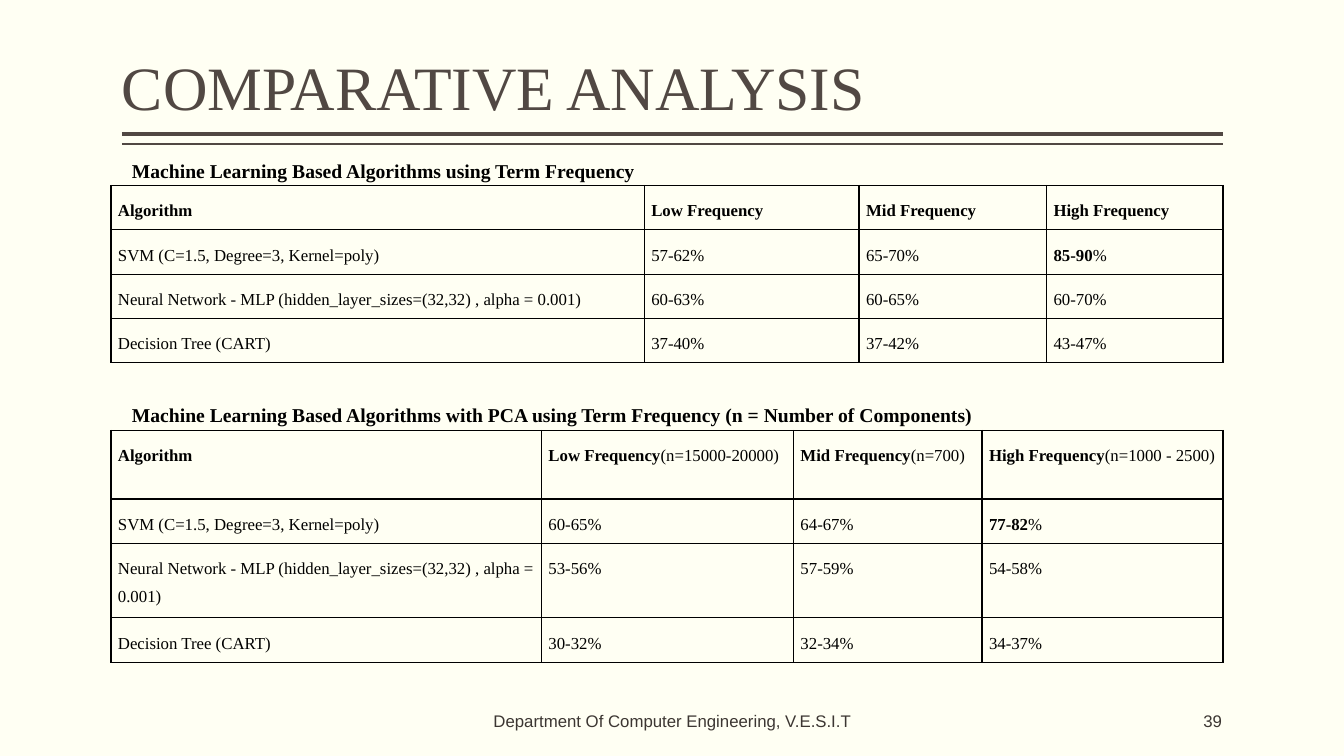
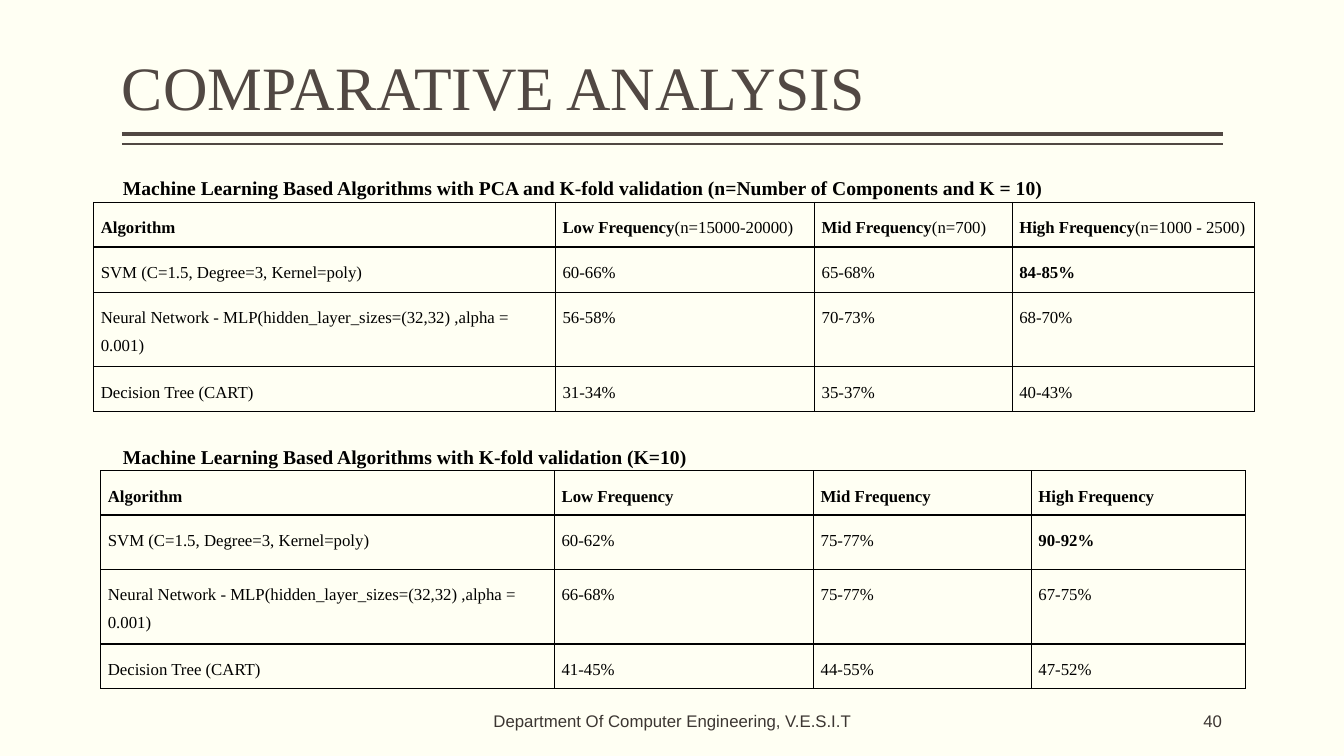
from lxml import etree
from pptx import Presentation
from pptx.dml.color import RGBColor
from pptx.enum.shapes import MSO_CONNECTOR
from pptx.enum.text import MSO_ANCHOR, PP_ALIGN
from pptx.oxml.ns import qn
from pptx.util import Inches, Pt

STRAIGHT = MSO_CONNECTOR.STRAIGHT
TOP, MIDDLE, BOTTOM = MSO_ANCHOR.TOP, MSO_ANCHOR.MIDDLE, MSO_ANCHOR.BOTTOM
LEFT, CENTER, RIGHT = PP_ALIGN.LEFT, PP_ALIGN.CENTER, PP_ALIGN.RIGHT

PAPER, TITLE_BROWN, FOOTER_BROWN, BLACK = "FFFFF3", "514843", "3C3632", "000000"
SERIF, SANS = "Times New Roman", "Arial"
MARGIN, CONTENT_WIDTH = 1.21, 10.92
TITLE = "COMPARATIVE ANALYSIS"
FOOTER = "Department Of Computer Engineering, V.E.S.I.T"
RULES = [(1.33, 3), (1.43, 1)]

# Asterisks enclose bold text.
SVM = "SVM (C=1.5, Degree=3, Kernel=poly)"
MLP_SPACED = "Neural Network - MLP (hidden_layer_sizes=(32,32) , alpha = 0.001)"
MLP = "Neural Network - MLP(hidden_layer_sizes=(32,32) ,alpha = 0.001)"
TREE = "Decision Tree (CART)"
PLAIN_HEADER = ["*Algorithm*", "*Low Frequency*", "*Mid Frequency*", "*High Frequency*"]
PCA_HEADER = ["*Algorithm*", "*Low Frequency*(n=15000-20000)",
              "*Mid Frequency*(n=700)", "*High Frequency*(n=1000 - 2500)"]

PAGES = [
    {"number": "39", "sections": [
        {"caption": "Machine Learning Based Algorithms using Term Frequency",
         "caption_at": (1.21, 1.36, 8.06), "table_at": (1.1, 1.84),
         "columns": [5.29, 2.13, 1.86, 1.75], "heights": [0.36, 0.4, 0.38, 0.36],
         "rows": [PLAIN_HEADER,
                  [SVM, "57-62%", "65-70%", "*85-90*%"],
                  [MLP_SPACED, "60-63%", "60-65%", "60-70%"],
                  [TREE, "37-40%", "37-42%", "43-47%"]]},
        {"caption": "Machine Learning Based Algorithms with PCA using Term Frequency "
                    "(n = Number of Components)",
         "caption_at": (1.21, 3.78, 9.5), "table_at": (1.1, 4.27),
         "columns": [4.27, 2.5, 1.87, 2.39], "heights": [0.68, 0.44, 0.65, 0.39],
         "rows": [PCA_HEADER,
                  [SVM, "60-65%", "64-67%", "*77-82*%"],
                  [MLP_SPACED, "53-56%", "57-59%", "54-58%"],
                  [TREE, "30-32%", "32-34%", "34-37%"]]},
    ]},
    {"number": "40", "sections": [
        {"caption": "Machine Learning Based Algorithms with PCA and K-fold validation "
                    "(n=Number of Components and K = 10)",
         "caption_at": (1.12, 1.53, 10.48), "table_at": (0.93, 2.01),
         "columns": [4.58, 2.57, 1.96, 2.4], "heights": [0.43, 0.45, 0.72, 0.43],
         "rows": [PCA_HEADER,
                  [SVM, "60-66%", "65-68%", "*84-85%*"],
                  [MLP, "56-58%", "70-73%", "68-70%"],
                  [TREE, "31-34%", "35-37%", "40-43%"]]},
        {"caption": "Machine Learning Based Algorithms with K-fold validation (K=10)",
         "caption_at": (1.12, 4.2, 9.5), "table_at": (1, 4.67),
         "columns": [4.5, 2.57, 2.16, 2.12], "heights": [0.43, 0.54, 0.63, 0.43],
         "rows": [PLAIN_HEADER,
                  [SVM, "60-62%", "75-77%", "*90-92%*"],
                  [MLP, "66-68%", "75-77%", "67-75%"],
                  [TREE, "41-45%", "44-55%", "47-52%"]]},
    ]},
]


def color(value):
    return RGBColor.from_string(value)


def set_insets(target, across, down):
    target.margin_left = target.margin_right = Inches(across)
    target.margin_top = target.margin_bottom = Inches(down)


def write(para, text, size, font, ink, spacing=1.0, align=LEFT):
    para.line_spacing = spacing
    para.alignment = align
    for index, part in enumerate(text.split("*")):
        if part:
            span = para.add_run()
            span.text = part
            span.font.size = Pt(size)
            span.font.name = font
            span.font.bold = index % 2 == 1
            span.font.color.rgb = color(ink)


def add_text(page, at, text, size, font, ink, anchor=TOP, insets=(0, 0.05), **layout):
    box = page.shapes.add_textbox(*map(Inches, at))
    frame = box.text_frame
    frame.word_wrap = True
    frame.vertical_anchor = anchor
    set_insets(frame, *insets)
    write(frame.paragraphs[0], text, size, font, ink, **layout)


def add_rule(page, top, weight):
    rule = page.shapes.add_connector(STRAIGHT, Inches(MARGIN), Inches(top),
                                     Inches(MARGIN + CONTENT_WIDTH), Inches(top))
    rule.line.color.rgb = color(TITLE_BROWN)
    rule.line.width = Pt(weight)
    etree.SubElement(rule._element.spPr, qn("a:effectLst"))


def style_cell(cell):
    set_insets(cell, 0.07, 0.07)
    properties = cell._tc.get_or_add_tcPr()
    for side in ("a:lnL", "a:lnR", "a:lnT", "a:lnB"):
        border = etree.SubElement(properties, qn(side), w=str(Pt(1)))
        fill = etree.SubElement(border, qn("a:solidFill"))
        etree.SubElement(fill, qn("a:srgbClr"), val=BLACK)
    cell.fill.background()


def add_section(page, section):
    add_text(page, (*section["caption_at"], 0.4), f"*{section['caption']}*", 14,
             SERIF, BLACK, insets=(0.1, 0.1), spacing=1.5)
    rows, columns, heights = section["rows"], section["columns"], section["heights"]
    area = (*section["table_at"], sum(columns), sum(heights))
    table = page.shapes.add_table(len(rows), len(columns), *map(Inches, area)).table
    table.first_row = table.horz_banding = False
    for column, width in zip(table.columns, columns):
        column.width = Inches(width)
    for row, height, texts in zip(table.rows, heights, rows):
        row.height = Inches(height)
        for cell, text in zip(row.cells, texts):
            style_cell(cell)
            write(cell.text_frame.paragraphs[0], text, 12, SERIF, BLACK, spacing=1.5)


def add_page(deck, content):
    page = deck.slides.add_slide(deck.slide_layouts[6])
    for top, weight in RULES:
        add_rule(page, top, weight)
    add_text(page, (MARGIN, 0.08, CONTENT_WIDTH, 1.2), TITLE, 44, SERIF, TITLE_BROWN,
             anchor=BOTTOM, spacing=0.9)
    add_text(page, (3.21, 6.95, 6.92, 0.4), FOOTER, 12, SANS, FOOTER_BROWN,
             anchor=MIDDLE, align=CENTER)
    add_text(page, (10.12, 6.95, 2, 0.4), content["number"], 12, SANS, FOOTER_BROWN,
             anchor=MIDDLE, align=RIGHT)
    for section in content["sections"]:
        add_section(page, section)


def main():
    deck = Presentation()
    deck.slide_width, deck.slide_height = Inches(13.33), Inches(7.5)
    background = deck.slide_master.background.fill
    background.solid()
    background.fore_color.rgb = color(PAPER)
    for content in PAGES:
        add_page(deck, content)
    deck.save("out.pptx")


if __name__ == "__main__":
    main()
